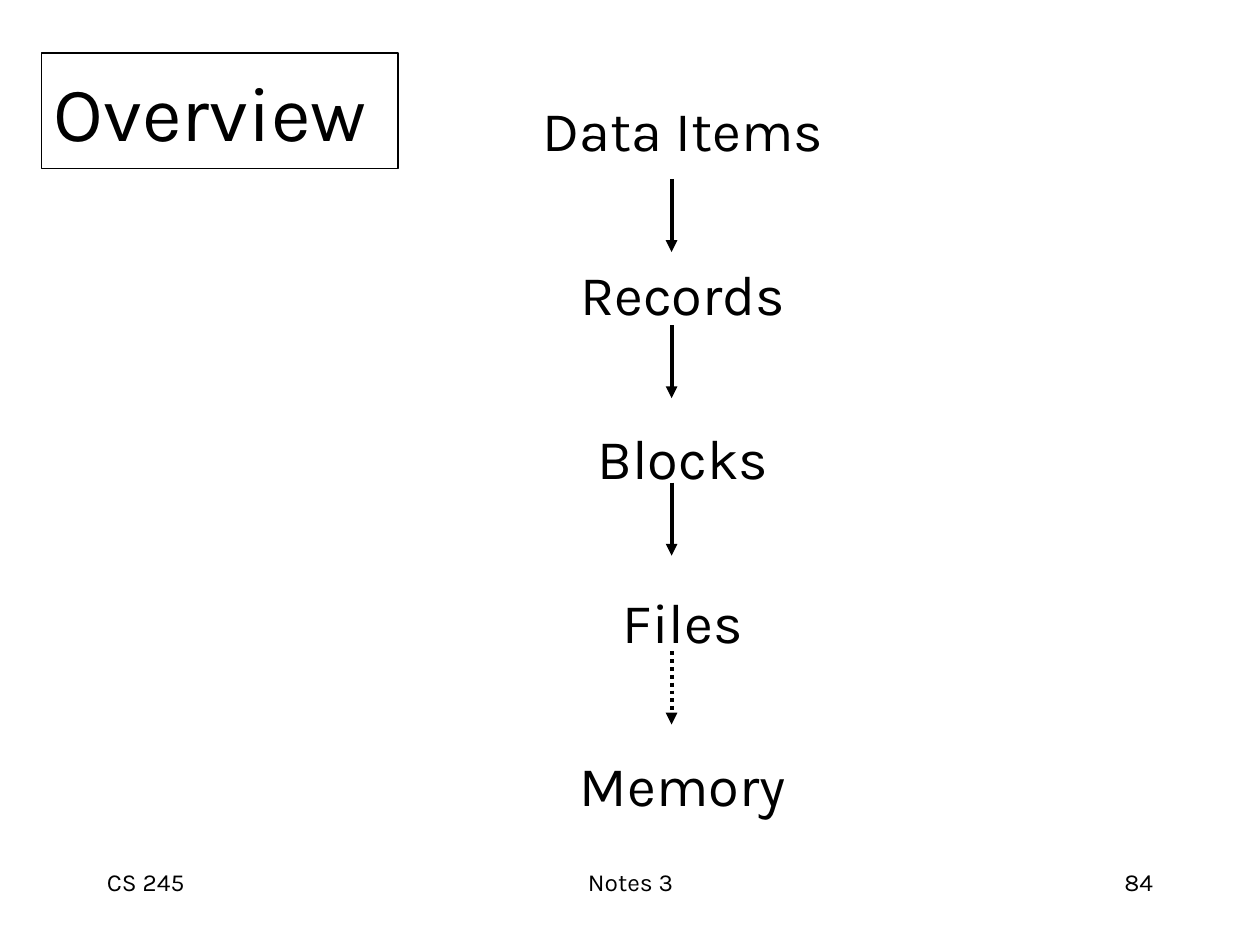
from lxml.etree import SubElement
from pptx import Presentation
from pptx.dml.color import RGBColor
from pptx.enum.dml import MSO_LINE
from pptx.enum.shapes import MSO_CONNECTOR, MSO_SHAPE
from pptx.enum.text import MSO_ANCHOR, PP_ALIGN
from pptx.oxml.ns import qn
from pptx.util import Inches, Pt

BLACK = RGBColor(0, 0, 0)
WHITE = RGBColor(255, 255, 255)

TITLE = "Overview"
LEVELS = ["Data Items", "Records", "Blocks", "Files", "Memory"]
FOOTERS = [
    ("CS 245", 0.75, 2.08, PP_ALIGN.LEFT),
    ("Notes 3", 3.42, 3.17, PP_ALIGN.CENTER),
    ("84", 7.17, 2.08, PP_ALIGN.RIGHT),
]
ARROWS = [(1.42, None), (2.58, None), (3.83, None), (5.17, MSO_LINE.ROUND_DOT)]
ARROW_X = 5.33
ARROW_LENGTH = 0.58
LEVEL_GAP = Pt(55.2)


def write_text(shape, lines, size, alignment, gap=Pt(0), **frame_format):
    frame = shape.text_frame
    settings = {"word_wrap": True, "vertical_anchor": MSO_ANCHOR.TOP, **frame_format}
    for name, value in settings.items():
        setattr(frame, name, value)
    for index, line in enumerate(lines):
        paragraph = frame.paragraphs[0] if index == 0 else frame.add_paragraph()
        paragraph.text = line
        paragraph.alignment = alignment
        paragraph.space_before = gap if index else Pt(0)
        for name, value in {"name": "Karla", "size": Pt(size)}.items():
            setattr(paragraph.font, name, value)
        paragraph.font.color.rgb = BLACK


def add_arrow(slide, top, dash):
    x = Inches(ARROW_X)
    arrow = slide.shapes.add_connector(
        MSO_CONNECTOR.STRAIGHT, x, Inches(top), x, Inches(top + ARROW_LENGTH))
    arrow.line.color.rgb = BLACK
    arrow.line.width = Pt(2.25)
    if dash is not None:
        arrow.line.dash_style = dash
    SubElement(arrow.line._get_or_add_ln(), qn("a:tailEnd"), type="triangle")
    SubElement(arrow._element.spPr, qn("a:effectLst"))


def main():
    presentation = Presentation()
    presentation.slide_width = Inches(10)
    presentation.slide_height = Inches(7.5)
    slide = presentation.slides.add_slide(presentation.slide_layouts[6])

    for text, left, width, alignment in FOOTERS:
        footer = slide.shapes.add_textbox(
            Inches(left), Inches(6.83), Inches(width), Inches(0.5))
        write_text(footer, [text], 14, alignment)

    levels = slide.shapes.add_textbox(
        Inches(1.17), Inches(0.67), Inches(8.5), Inches(5.92))
    write_text(levels, LEVELS, 32, PP_ALIGN.CENTER, LEVEL_GAP, margin_top=Inches(0.09))

    title = slide.shapes.add_shape(
        MSO_SHAPE.RECTANGLE, Inches(0.33), Inches(0.42), Inches(2.83), Inches(0.92))
    title.shadow.inherit = False
    title.fill.solid()
    title.fill.fore_color.rgb = WHITE
    title.line.color.rgb = BLACK
    title.line.width = Pt(0.75)
    write_text(title, [TITLE], 44, PP_ALIGN.LEFT, vertical_anchor=MSO_ANCHOR.MIDDLE)

    for top, dash in ARROWS:
        add_arrow(slide, top, dash)

    presentation.save("out.pptx")


if __name__ == "__main__":
    main()
